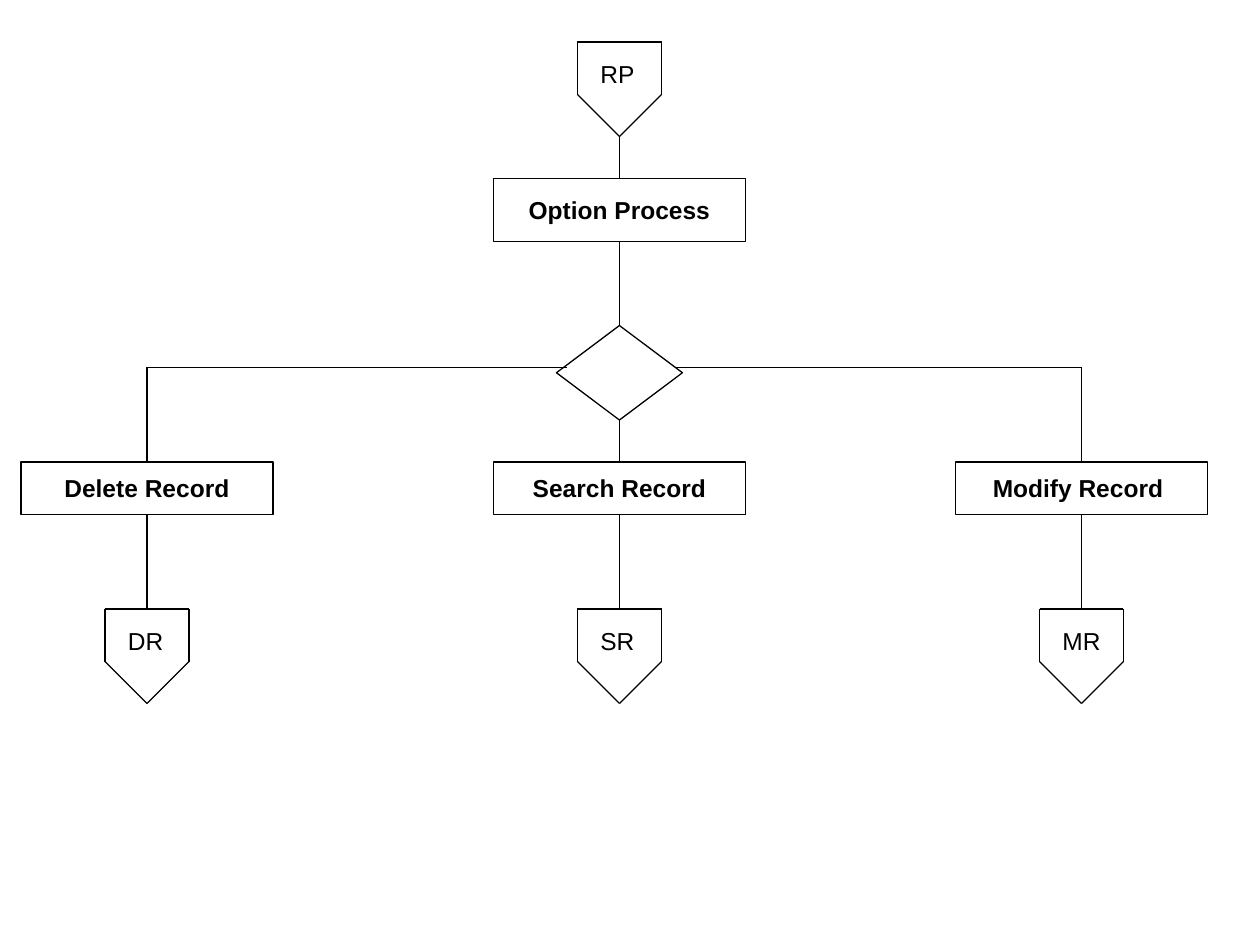
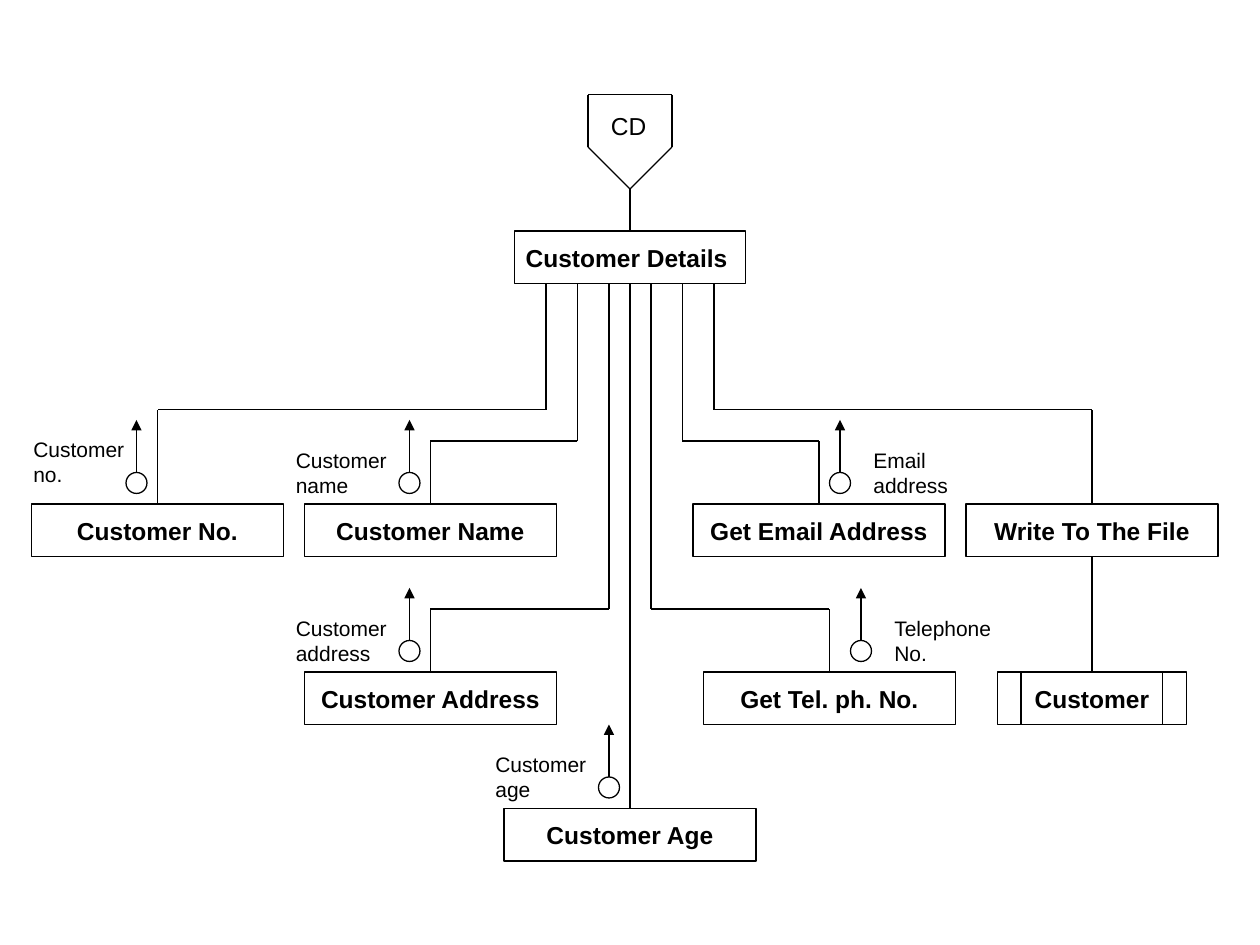
from dataclasses import dataclass
from itertools import pairwise

from lxml.etree import SubElement
from pptx import Presentation
from pptx.dml.color import RGBColor
from pptx.enum.shapes import MSO_CONNECTOR, MSO_SHAPE
from pptx.enum.text import MSO_ANCHOR, PP_ALIGN
from pptx.oxml.ns import qn
from pptx.util import Pt


@dataclass(frozen=True)
class Theme:
    ink: RGBColor = RGBColor(0, 0, 0)
    paper: RGBColor = RGBColor(255, 255, 255)
    font: str = "Arial"
    box_size: int = 14
    label_size: int = 12
    stroke: float = 0.75


THEME = Theme()
BOX_WIDTH, BOX_HEIGHT = 144, 30
TOP, BOTTOM = 0, 2


def write_text(frame, text, size=THEME.box_size, bold=False,
               align=PP_ALIGN.CENTER, anchor=MSO_ANCHOR.MIDDLE):
    frame.word_wrap = False
    frame.vertical_anchor = anchor
    frame.text = text
    for paragraph in frame.paragraphs:
        paragraph.alignment = align
        paragraph.font.name = THEME.font
        paragraph.font.size = Pt(size)
        paragraph.font.bold = bold
        paragraph.font.color.rgb = THEME.ink


def add_outline(slide, kind, left, top, width, height):
    outline = slide.shapes.add_shape(
        kind, Pt(left), Pt(top), Pt(width), Pt(height))
    outline.shadow.inherit = False
    outline.fill.solid()
    outline.fill.fore_color.rgb = THEME.paper
    outline.line.color.rgb = THEME.ink
    outline.line.width = Pt(THEME.stroke)
    return outline


def add_process(slide, text, left, top, width=BOX_WIDTH, height=BOX_HEIGHT,
                kind=MSO_SHAPE.FLOWCHART_PROCESS):
    process = add_outline(slide, kind, left, top, width, height)
    write_text(process.text_frame, text, bold=True)
    return process


def add_label(slide, text, left, top, width, height, size):
    label = slide.shapes.add_textbox(Pt(left), Pt(top), Pt(width), Pt(height))
    write_text(label.text_frame, text, size=size,
               align=PP_ALIGN.LEFT, anchor=MSO_ANCHOR.TOP)


def add_line(slide, start, end, leaves=None, enters=None, arrow=False):
    line = slide.shapes.add_connector(
        MSO_CONNECTOR.STRAIGHT, *(Pt(value) for value in (*start, *end)))
    line.line.color.rgb = THEME.ink
    line.line.width = Pt(THEME.stroke)
    if leaves is not None:
        line.begin_connect(*leaves)
    if enters is not None:
        line.end_connect(*enters)
    properties = line._element.spPr
    if arrow:
        SubElement(properties.find(qn("a:ln")), qn("a:tailEnd"), type="triangle")
    SubElement(properties, qn("a:effectLst"))


def add_page_link(slide, text, center, top):
    offsets = [(-24, 0), (24, 0), (24, 30), (0, 54), (-24, 30), (-24, 0)]
    corners = [(center + x, top + y) for x, y in offsets]
    for start, end in pairwise(corners):
        add_line(slide, start, end)
    add_label(slide, text, center - 18, top + 6, 37, 24, THEME.box_size)


def middle(shape):
    return (shape.left + shape.width / 2) / Pt(1)


def add_drop(slide, upper, lower):
    end = (middle(upper), (upper.top + upper.height) / Pt(1))
    add_line(slide, (middle(lower), lower.top / Pt(1)), end,
             (lower, TOP), (upper, BOTTOM))


def add_branch(slide, parent, child, start, bend):
    target = middle(child)
    add_line(slide, (start, bend), (start, (parent.top + parent.height) / Pt(1)))
    add_line(slide, (start, bend), (target, bend))
    add_line(slide, (target, child.top / Pt(1)), (target, bend), leaves=(child, TOP))


def add_data_flow(slide, text, label_left, label_top, center, top):
    circle = add_outline(slide, MSO_SHAPE.OVAL, center - 6, top, 12, 12)
    add_line(slide, (center, top), (center, top - 30), (circle, TOP), arrow=True)
    add_label(slide, text, label_left, label_top, 72, 36, THEME.label_size)


def build_option_process(slide):
    center, branch_y, record_top, link_top = 354, 210, 264, 348
    add_line(slide, (384, branch_y), (618, branch_y))
    option = add_process(slide, "Option Process", 282, 102, height=36)
    decision = add_outline(slide, MSO_SHAPE.DIAMOND, 318, 186, 72, 54)
    add_line(slide, (84, branch_y), (324, branch_y))
    add_page_link(slide, "RP", center, 24)
    add_line(slide, (center, 102), (center, 78), leaves=(option, TOP))
    add_drop(slide, option, decision)
    for text, code, x in [("Delete Record", "DR", 84),
                          ("Search Record", "SR", center),
                          ("Modify Record ", "MR", 618)]:
        record = add_process(slide, text, x - BOX_WIDTH / 2, record_top)
        if x == center:
            add_drop(slide, decision, record)
        else:
            add_line(slide, (x, record_top), (x, branch_y), leaves=(record, TOP))
        add_line(slide, (x, link_top), (x, record_top + BOX_HEIGHT),
                 enters=(record, BOTTOM))
        add_page_link(slide, code, x, link_top)


def build_customer_details(slide):
    center, first_row, second_row = 360, 288, 384
    add_page_link(slide, "CD", center, 54)
    details = add_process(slide, "Customer Details ", 294, 132, width=132)
    add_line(slide, (center, 132), (center, 108), leaves=(details, TOP))

    for text, left, top, start, bend in [
        ("Customer No.", 18, first_row, 312, 234),
        ("Customer Name", 174, first_row, 330, 252),
        ("Customer Address", 174, second_row, 348, 348),
        ("Get Tel. ph. No.", 402, second_row, 372, 348),
        ("Get Email Address", 396, first_row, 390, 252),
        ("Write To The File", 552, first_row, 408, 234),
    ]:
        step = add_process(slide, text, left, top)
        add_branch(slide, details, step, start, bend)

    customer_file = add_process(slide, "Customer", 570, second_row, width=108,
                                kind=MSO_SHAPE.FLOWCHART_PREDEFINED_PROCESS)
    add_drop(slide, step, customer_file)
    age = add_process(slide, "Customer Age", 288, 462)
    add_drop(slide, details, age)

    for flow in [
        ("Customer\nno.", 12, 246, 78, 270),
        ("Customer\nname", 162, 252, 234, 270),
        ("Email\naddress", 492, 252, 480, 270),
        ("Customer\naddress", 162, 348, 234, 366),
        ("Telephone\nNo.", 504, 348, 492, 366),
        ("Customer\nage", 276, 426, 348, 444),
    ]:
        add_data_flow(slide, *flow)


def main():
    deck = Presentation()
    deck.slide_width, deck.slide_height = Pt(720), Pt(540)
    for build in (build_option_process, build_customer_details):
        build(deck.slides.add_slide(deck.slide_layouts[6]))
    deck.save("out.pptx")


if __name__ == "__main__":
    main()
